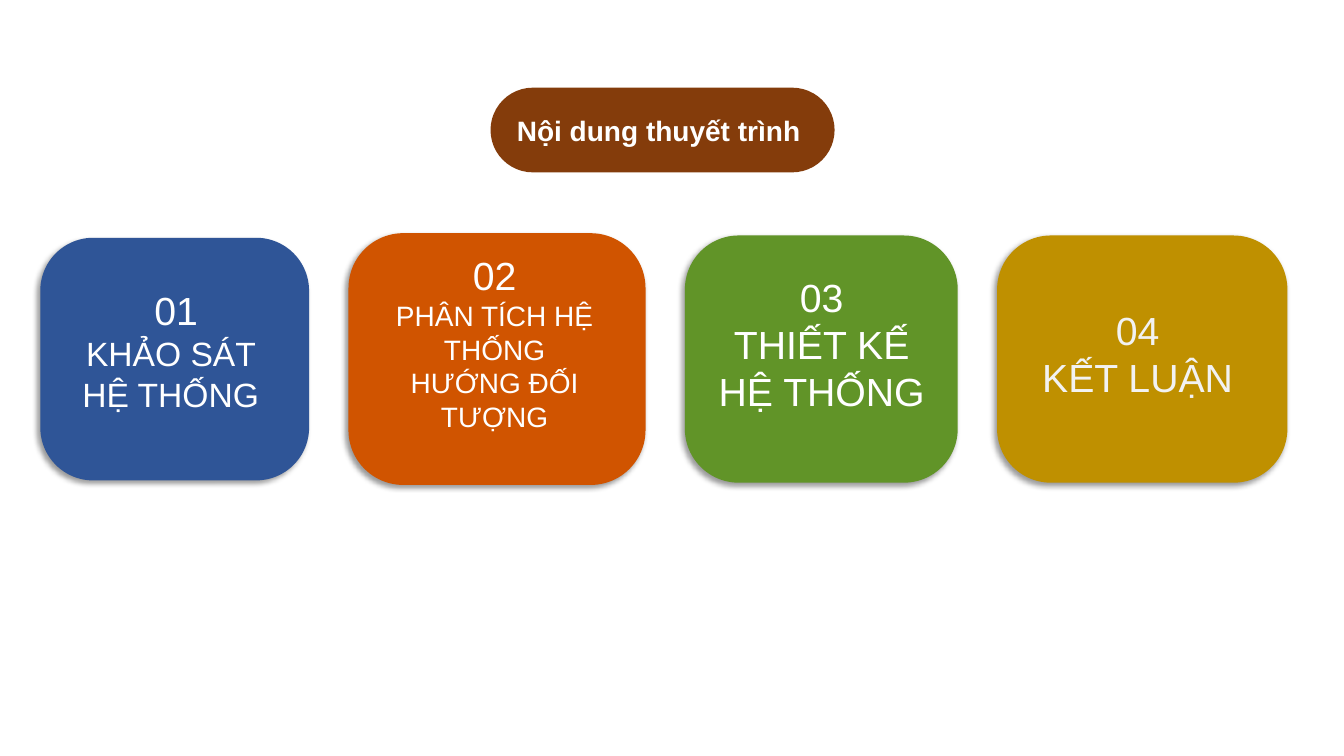
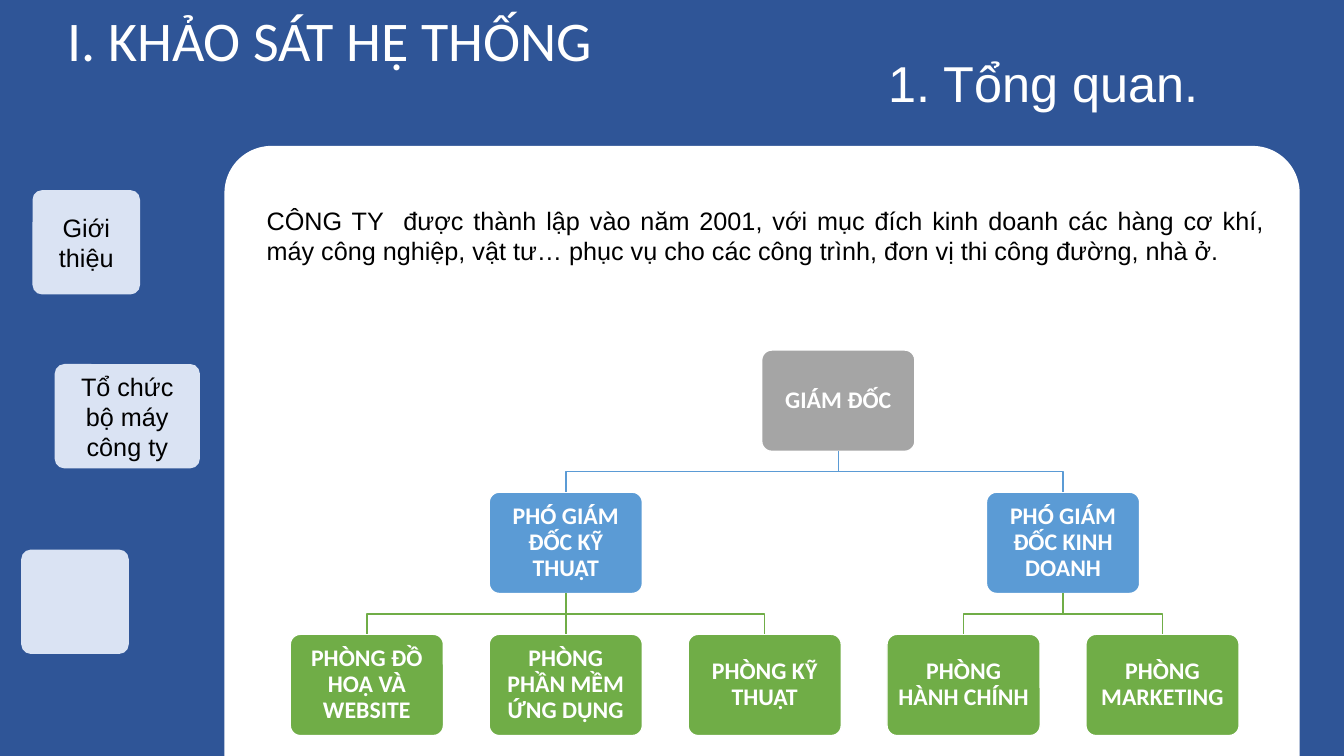
from pptx import Presentation
from pptx.dml.color import RGBColor
from pptx.enum.shapes import MSO_CONNECTOR as CONN, MSO_SHAPE as SHAPE
from pptx.enum.text import MSO_ANCHOR as ANCHOR, MSO_AUTO_SIZE as AUTOSIZE, PP_ALIGN as ALIGN
from pptx.oxml import parse_xml
from pptx.oxml.ns import nsdecls, qn
from pptx.util import Inches, Pt
from lxml import etree

SLIDE_W, SLIDE_H = Inches(13.33), Inches(7.5)
TITLE_ONLY = 5

WHITE = RGBColor(0xFF, 0xFF, 0xFF)
BLACK = RGBColor(0x00, 0x00, 0x00)
PALE_GRAY = RGBColor(0xF2, 0xF2, 0xF2)
NAVY = RGBColor(0x2F, 0x55, 0x97)
ORANGE = RGBColor(0xD0, 0x54, 0x00)
GREEN = RGBColor(0x61, 0x94, 0x28)
GOLD = RGBColor(0xBF, 0x90, 0x00)
BROWN = RGBColor(0x84, 0x3C, 0x0B)
PALE_BLUE = RGBColor(0xDA, 0xE3, 0xF3)
# Organisation chart fill per level, from the top
LEVEL_FILLS = (
    RGBColor(0xA5, 0xA5, 0xA5),
    RGBColor(0x5B, 0x9B, 0xD5),
    RGBColor(0x70, 0xAD, 0x47),
)

# All places and sizes are percentages of the slide's width or height
PILL = (36.5, 11.6, 25.6, 11.2)
CARD_LEFT, CARD_GAP, CARD_MIDDLE = 3, 2.93, 47.5
# fill, text colour, card width and height, text inset, top and width, lines
CARDS = (
    (NAVY, WHITE, 20, 32.1, 1.05, 37.2, 17.3,
     ((" 01", 28), ("KHẢO SÁT HỆ THỐNG", 24))),
    (ORANGE, WHITE, 22.1, 33.3, 1.5, 32.6, 18.75,
     (("02", 28), ("PHÂN TÍCH HỆ THỐNG\nHƯỚNG ĐỐI TƯỢNG", 20))),
    (GREEN, WHITE, 20.3, 32.7, 1.1, 35.5, 18.15,
     (("03", 28), ("THIẾT KẾ HỆ THỐNG", 28))),
    (GOLD, PALE_GRAY, 21.6, 32.7, 2.2, 39.9, 16.5,
     (("04", 28), ("KẾT LUẬN", 28))),
)

TAB_H = 13.8
# left, top, width, label
TABS = (
    (2.42, 25.15, 8, "Giới thiệu"),
    (4.07, 48.15, 10.8, "Tổ chức bộ máy công ty"),
    (1.58, 72.7, 8, ""),
)
INTRO = ("CÔNG TY  được thành lập vào năm 2001, với mục đích kinh doanh các hàng "
         "cơ khí, máy công nghiệp, vật tư… phục vụ cho các công trình, đơn vị "
         "thi công đường, nhà ở.")

NODE_LEFT, NODE_TOP, NODE_W, NODE_H = 21.6, 46.3, 11.4, 13.4
NODE_COL, NODE_ROW = 14.8, 18.8
# label, column, subordinates
ORG = ("GIÁM ĐỐC", 2.37, (
    ("PHÓ GIÁM ĐỐC KỸ THUẬT", 1, (
        ("PHÒNG ĐỒ HOẠ VÀ WEBSITE", 0, ()),
        ("PHÒNG PHẦN MỀM ỨNG DỤNG", 1, ()),
        ("PHÒNG KỸ THUẬT", 2, ()),
    )),
    ("PHÓ GIÁM ĐỐC KINH DOANH", 3.5, (
        ("PHÒNG HÀNH CHÍNH", 3, ()),
        ("PHÒNG MARKETING", 4, ()),
    )),
))


def box(left, top, width, height):
    """Turn shares of the slide into lengths."""
    return (int(SLIDE_W * left / 100), int(SLIDE_H * top / 100),
            int(SLIDE_W * width / 100), int(SLIDE_H * height / 100))


def write(sp, lines, color, font="Arial", bold=False, align=ALIGN.CENTER,
          anchor=ANCHOR.TOP, spacing=None):
    """Write (text, size) lines as paragraphs."""
    tf = sp.text_frame
    tf.word_wrap = True
    tf.auto_size = AUTOSIZE.NONE
    tf.vertical_anchor = anchor
    for i, (text, size) in enumerate(lines):
        p = tf.add_paragraph() if i else tf.paragraphs[0]
        p.alignment = align
        p.space_before = Pt(0)
        if spacing:
            p.line_spacing = spacing
        for j, part in enumerate(text.split("\n")):
            if j:
                p.add_line_break()
            r = p.add_run()
            r.text = part
            r.font.name, r.font.size, r.font.bold = font, Pt(size), bold
            r.font.color.rgb = color


def add_text(slide, place, lines, color, **style):
    write(slide.shapes.add_textbox(*box(*place)), lines, color, **style)


def add_block(slide, kind, place, fill, corner, line=None):
    sp = slide.shapes.add_shape(kind, *box(*place))
    sp.adjustments[0] = corner
    sp.shadow.inherit = False
    sp.fill.solid()
    sp.fill.fore_color.rgb = fill
    if line is None:
        sp.line.fill.background()
    else:
        sp.line.color.rgb = line
        sp.line.width = Pt(1)
    return sp


def cast_shadow(sp):
    effects = sp._element.spPr.find(qn("a:effectLst"))
    effects.append(parse_xml(
        f'<a:outerShdw {nsdecls("a")} blurRad="{Pt(4)}" dist="{Pt(3)}" '
        f'dir="{135 * 60000}" algn="tr" rotWithShape="0">'
        '<a:srgbClr val="000000"><a:alpha val="40000"/></a:srgbClr>'
        '</a:outerShdw>'))


def place_title(slide, place, text, size, **style):
    """Fill the title placeholder and bring it in front of what is drawn."""
    title = slide.shapes.title
    title.left, title.top, title.width, title.height = box(*place)
    write(title, ((text, size),), WHITE, **style)
    slide.shapes._spTree.append(title._element)


def link(slide, upper, lower, color):
    """Join the bottom of one node to the top of another."""
    x1, y1 = upper.left + upper.width // 2, upper.top + upper.height
    x2, y2 = lower.left + lower.width // 2, lower.top
    dx, dy = x2 - x1, y2 - y1
    bent = abs(dx) > Pt(1)
    cn = slide.shapes.add_connector(CONN.ELBOW if bent else CONN.STRAIGHT, x1, y1, x2, y2)
    cn.begin_connect(upper, 2)
    cn.end_connect(lower, 0)
    cn.line.color.rgb = color
    cn.line.width = Pt(1)
    etree.SubElement(cn._element.spPr, qn("a:effectLst"))
    if bent:
        # A quarter turn makes the elbow leave downwards
        cn.left, cn.top = (x1 + x2 - dy) // 2, (y1 + y2 - abs(dx)) // 2
        cn.width, cn.height = dy, abs(dx)
        xfrm = cn._element.spPr.find(qn("a:xfrm"))
        xfrm.attrib.pop("flipH", None)
        xfrm.set("rot", str(90 * 60000))
        if dx > 0:
            xfrm.set("flipV", "1")


def add_branch(slide, node, level=0):
    """Draw a node, its subordinates and the lines between them."""
    label, column, children = node
    place = (NODE_LEFT + column * NODE_COL, NODE_TOP + level * NODE_ROW, NODE_W, NODE_H)
    sp = add_block(slide, SHAPE.ROUNDED_RECTANGLE, place, LEVEL_FILLS[level], 0.1, WHITE)
    tf = sp.text_frame
    tf.margin_left = tf.margin_right = tf.margin_top = tf.margin_bottom = Inches(0.07)
    write(sp, ((label, 17),), WHITE, font="Calibri", bold=True,
          anchor=ANCHOR.MIDDLE, spacing=0.9)
    for child in children:
        link(slide, sp, add_branch(slide, child, level + 1), LEVEL_FILLS[level + 1])
    return sp


def build_agenda(slide):
    add_block(slide, SHAPE.ROUNDED_RECTANGLE, PILL, BROWN, 0.5)
    place_title(slide, PILL, "Nội dung thuyết trình ", 20, bold=True, anchor=ANCHOR.MIDDLE)
    left = CARD_LEFT
    for fill, color, width, height, inset, text_top, text_w, lines in CARDS:
        top = CARD_MIDDLE - height / 2
        card = add_block(slide, SHAPE.ROUNDED_RECTANGLE, (left, top, width, height),
                         fill, 0.218)
        cast_shadow(card)
        add_text(slide, (left + inset, text_top, text_w, top + height - text_top),
                 lines, color)
        left += width + CARD_GAP


def build_survey(slide):
    slide.background.fill.solid()
    slide.background.fill.fore_color.rgb = NAVY
    place_title(slide, (0, 0, 49.1, 10.3), "I. KHẢO SÁT HỆ THỐNG", 40, font="Calibri")
    add_text(slide, (58.6, 6.3, 38.1, 9.5), (("1. Tổng quan.", 36),), WHITE)

    # Content panel, running to the slide's bottom edge
    add_block(slide, SHAPE.ROUND_2_SAME_RECTANGLE, (16.7, 19.3, 80, 80.7), WHITE, 0.077)

    # Side tabs
    for left, top, width, label in TABS:
        tab = add_block(slide, SHAPE.ROUNDED_RECTANGLE, (left, top, width, TAB_H),
                        PALE_BLUE, 0.092)
        if label:
            write(tab, ((label, 18),), BLACK, anchor=ANCHOR.MIDDLE)

    add_text(slide, (19.1, 26.5, 75.7, 9.5), ((INTRO, 18),), BLACK, align=ALIGN.JUSTIFY)
    add_branch(slide, ORG)


def main():
    prs = Presentation()
    prs.slide_width, prs.slide_height = SLIDE_W, SLIDE_H
    for build in (build_agenda, build_survey):
        build(prs.slides.add_slide(prs.slide_layouts[TITLE_ONLY]))
    prs.save("out.pptx")


if __name__ == "__main__":
    main()
